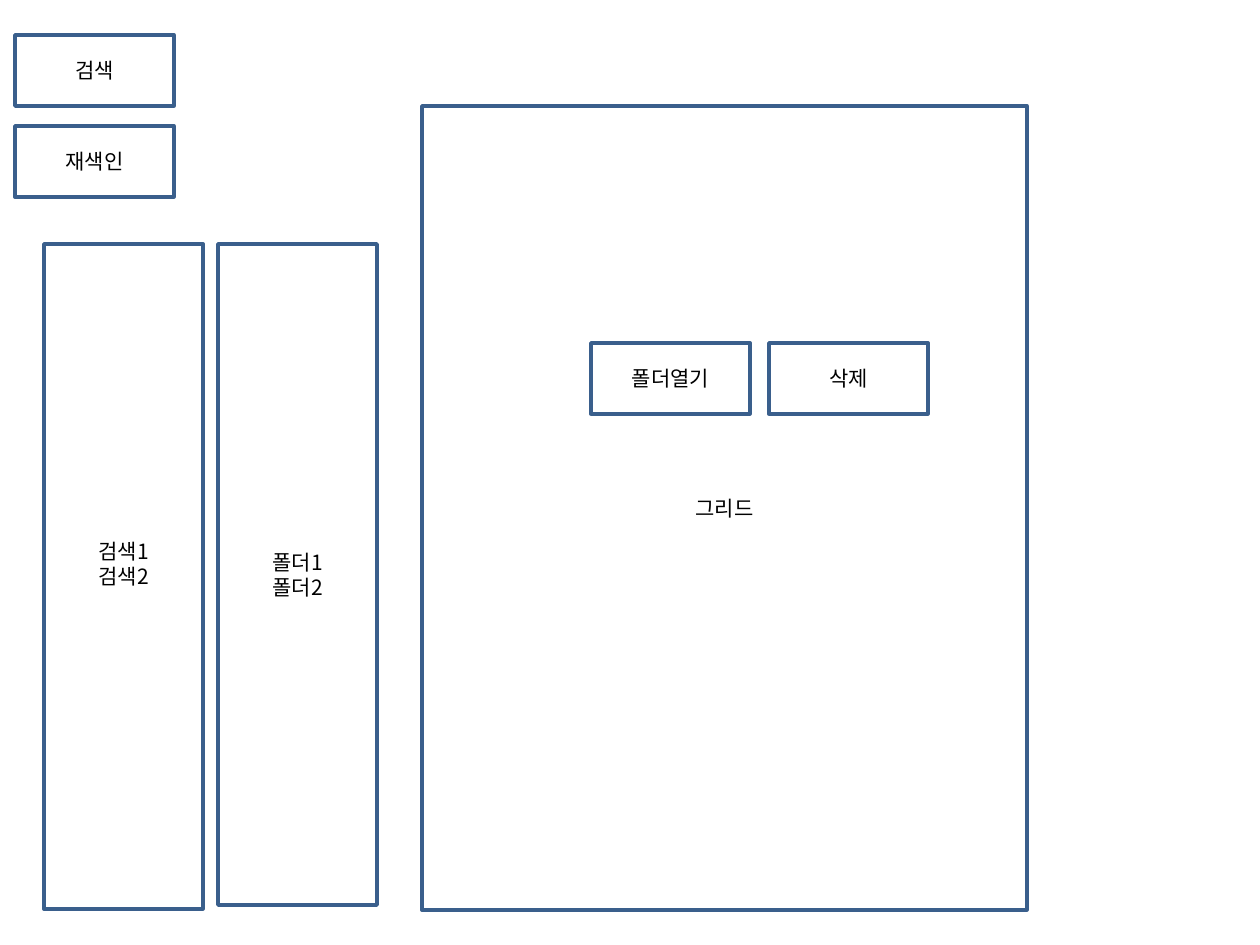
from lxml import etree
from pptx import Presentation
from pptx.dml.color import RGBColor
from pptx.enum.shapes import MSO_SHAPE
from pptx.enum.text import MSO_ANCHOR, PP_ALIGN
from pptx.oxml.ns import qn
from pptx.util import Emu, Pt

RECTANGLE = MSO_SHAPE.RECTANGLE
MIDDLE = MSO_ANCHOR.MIDDLE
CENTER = PP_ALIGN.CENTER
OUTLINE = RGBColor(0x3A, 0x5F, 0x8C)
BLACK = RGBColor(0, 0, 0)
FONT = "Noto Sans CJK KR"
BUTTON_WIDTH, BUTTON_HEIGHT = 159, 71
LINE_HEIGHT = 26


def px(length):
    """Turn pixels at 126 to the inch into EMU."""
    return Emu(round(length * 914400 / 126))


def add_box(slide, left, top, width, height, lines):
    """Add an outlined box with centred lines of text."""
    shape = slide.shapes.add_shape(RECTANGLE, px(left), px(top), px(width), px(height))
    shape.shadow.inherit = False
    shape.fill.background()
    shape.line.color.rgb = OUTLINE
    shape.line.width = Pt(2)
    frame = shape.text_frame
    frame.word_wrap = True
    frame.vertical_anchor = MIDDLE
    frame.text = "\n".join(lines)
    for paragraph in frame.paragraphs:
        paragraph.alignment = CENTER
        paragraph.font.size = Pt(12)
        paragraph.font.color.rgb = BLACK
        paragraph.font.name = FONT
        properties = paragraph._p.get_or_add_pPr().find(qn("a:defRPr"))
        etree.SubElement(properties, qn("a:ea")).set("typeface", FONT)
    return shape


def add_buttons(slide, left, top, labels, step_x=0, step_y=0):
    """Add equal buttons at a fixed step across or down."""
    for index, label in enumerate(labels):
        add_box(slide, left + index * step_x, top + index * step_y,
                BUTTON_WIDTH, BUTTON_HEIGHT, [label])


def add_lists(slide, left, top, width, height):
    """Add the search list and the folder list side by side."""
    column_width, gap = 159, 15
    searches = add_box(slide, left, top, column_width, height, ["검색1", "검색2"])
    searches.text_frame.margin_bottom += px(LINE_HEIGHT)
    add_box(slide, left + column_width + gap, top, width - column_width - gap,
            height - 4, ["폴더1", "폴더2"])


def add_grid(slide, left, top, width, height):
    """Add the grid panel with its row of action buttons."""
    add_box(slide, left, top, width, height, ["그리드"])
    add_buttons(slide, left + 169, top + 237, ["폴더열기", "삭제"], step_x=178)


def main():
    """Build and save the screen layout slide."""
    presentation = Presentation()
    presentation.slide_width = px(1260)
    presentation.slide_height = px(945)
    slide = presentation.slides.add_slide(presentation.slide_layouts[6])
    add_lists(slide, 44, 244, 333, 665)
    add_grid(slide, 422, 106, 605, 804)
    add_buttons(slide, 15, 35, ["검색", "재색인"], step_y=91)
    presentation.save("out.pptx")


if __name__ == "__main__":
    main()
